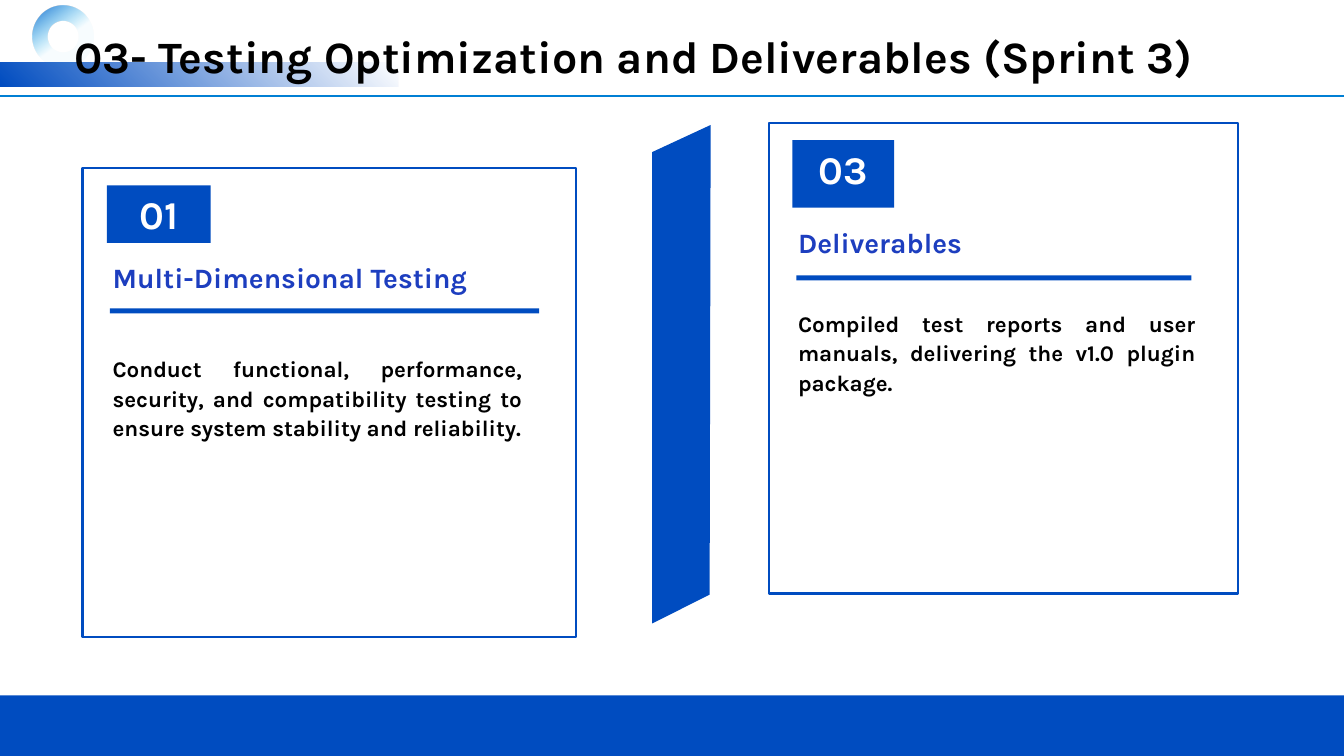
from lxml import etree
from pptx import Presentation
from pptx.dml.color import RGBColor
from pptx.enum.shapes import MSO_CONNECTOR, MSO_SHAPE
from pptx.enum.text import MSO_ANCHOR, PP_ALIGN
from pptx.oxml import parse_xml
from pptx.oxml.ns import qn
from pptx.util import Pt

RECTANGLE, DONUT = MSO_SHAPE.RECTANGLE, MSO_SHAPE.DONUT
STRAIGHT = MSO_CONNECTOR.STRAIGHT
TOP = MSO_ANCHOR.TOP
LEFT, CENTER, JUSTIFY = PP_ALIGN.LEFT, PP_ALIGN.CENTER, PP_ALIGN.JUSTIFY

BLUE = RGBColor(0x00, 0x4C, 0xC0)
RULE_BLUE = RGBColor(0x00, 0x7F, 0xD4)
HEADING_BLUE = RGBColor(0x1D, 0x3E, 0xBF)
SKY = RGBColor(0x00, 0xB0, 0xF0)
WHITE = RGBColor(0xFF, 0xFF, 0xFF)
BLACK = RGBColor(0x00, 0x00, 0x00)

deck = Presentation()
deck.slide_width, deck.slide_height = Pt(960), Pt(540)
page = deck.slides.add_slide(deck.slide_layouts[5])
shapes = page.shapes


def add_block(kind, left, top, width, height, fill=BLUE, gradient=None):
    """Add a borderless shape; gradient is (angle, [(position, colour, opacity)])."""
    block = shapes.add_shape(kind, Pt(left), Pt(top), Pt(width), Pt(height))
    block.shadow.inherit = False
    block.line.fill.background()
    if gradient is None:
        block.fill.solid()
        block.fill.fore_color.rgb = fill
        return block
    angle, stops = gradient
    stop_xml = "".join(
        f'<a:gs pos="{position * 1000}"><a:srgbClr val="{color}">'
        f'<a:alpha val="{opacity * 1000}"/></a:srgbClr></a:gs>'
        for position, color, opacity in stops)
    block.fill.background()
    properties = block._element.spPr
    properties.replace(properties.find(qn("a:noFill")), parse_xml(
        '<a:gradFill xmlns:a="http://schemas.openxmlformats.org/drawingml/2006/main" '
        f'rotWithShape="1"><a:gsLst>{stop_xml}</a:gsLst>'
        f'<a:lin ang="{angle * 60000}" scaled="0"/></a:gradFill>'))
    return block


def write(box, text, size, color, align, spacing=1.0):
    """Put one bold paragraph at the top of a box."""
    frame = box.text_frame
    frame.word_wrap = True
    frame.vertical_anchor = TOP
    frame.text = text
    para = frame.paragraphs[0]
    para.alignment = align
    para.line_spacing = spacing
    para.font.name, para.font.size, para.font.bold = "Karla", Pt(size), True
    para.font.color.rgb = color


# Header and footer decoration
add_block(RECTANGLE, 0, 44.6, 284.4, 17.3,
          gradient=(135, [(0, WHITE, 100), (100, BLUE, 100)]))
header_rule = shapes.add_connector(STRAIGHT, Pt(0), Pt(68.4), Pt(960), Pt(68.4))
header_rule.line.color.rgb = RULE_BLUE
header_rule.line.width = Pt(1.5)
etree.SubElement(header_rule._element.spPr, qn("a:effectLst"))
ring = add_block(DONUT, 23, 4.3, 44, 44,
                 gradient=(315, [(0, BLUE, 100), (54, SKY, 3), (100, SKY, 3)]))
ring.rotation = 99
ring.adjustments[0] = 0.25
add_block(RECTANGLE, 0, 496.8, 960, 43.2)

# Slanted divider between the cards
outline = shapes.build_freeform(Pt(507.6), Pt(89.3))
outline.add_line_segments(
    [(Pt(465.8), Pt(108.7)), (Pt(465.8), Pt(445.4)), (Pt(506.9), Pt(424.8))], close=True)
divider = outline.convert_to_shape()
divider.shadow.inherit = False
divider.fill.solid()
divider.fill.fore_color.rgb = BLUE
divider.line.fill.background()

# Title, brought in front of the decoration
title = shapes.title
title.left, title.top, title.width, title.height = Pt(46.1), Pt(16.6), Pt(872.6), Pt(46.1)
write(title, "03- Testing Optimization and Deliverables (Sprint 3)", 32, BLACK, LEFT)
shapes._spTree.append(title._element)

# Cards: each part is (left, top, width, height)
cards = [
    {"frame": (59, 119.8, 352.3, 335.5), "rule": (78.5, 220.3, 306.7, 3.6),
     "badge": (76.3, 132.5, 74.2, 41), "heading": (73.4, 182.9, 331.2, 31.7),
     "body": (73.4, 248.4, 306.7, 91.4),
     "texts": ("01", "Multi-Dimensional Testing",
               "Conduct functional, performance, security, and compatibility testing "
               "to ensure system stability and reliability.")},
    {"frame": (549.4, 87.8, 334.8, 336.2), "rule": (568.8, 196.6, 282.2, 3.6),
     "badge": (565.9, 100.1, 72.7, 48.2), "heading": (563, 157.7, 298.1, 31.7),
     "body": (563, 216, 298.1, 69.8),
     "texts": ("03", "Deliverables",
               "Compiled test reports and user manuals, delivering the v1.0 plugin package.")},
]
for card in cards:
    number, heading, body = card["texts"]
    frame = add_block(RECTANGLE, *card["frame"], fill=WHITE)
    frame.line.color.rgb = BLUE
    frame.line.width = Pt(1.5)
    add_block(RECTANGLE, *card["rule"])
    write(add_block(RECTANGLE, *card["badge"]), number, 28, WHITE, CENTER)
    heading_box = shapes.add_textbox(*map(Pt, card["heading"]))
    write(heading_box, heading, 20, HEADING_BLUE, JUSTIFY)
    body_box = shapes.add_textbox(*map(Pt, card["body"]))
    write(body_box, body, 16, BLACK, JUSTIFY, spacing=1.1)

deck.save("out.pptx")
